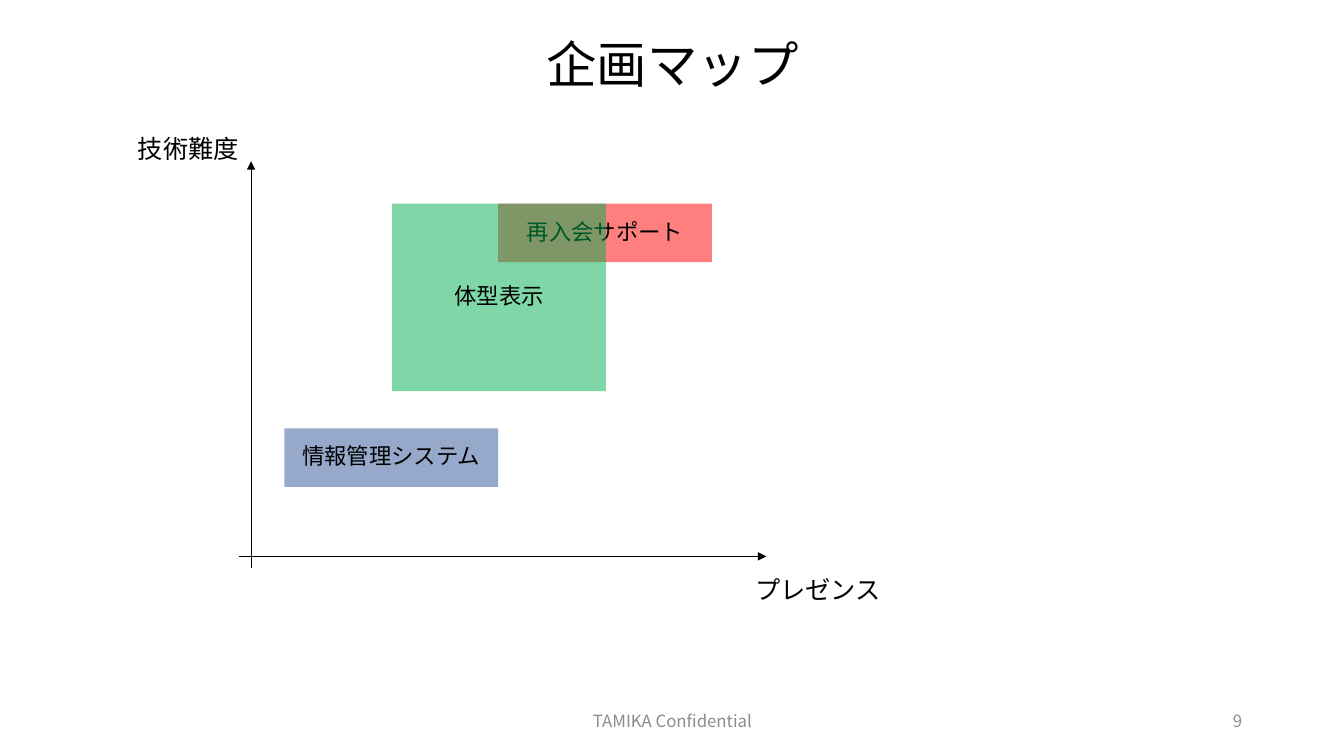
"""Builds the planning map slide: projects placed by presence and technical difficulty."""
from lxml.etree import SubElement
from pptx import Presentation
from pptx.dml.color import RGBColor
from pptx.enum.shapes import MSO_CONNECTOR, MSO_SHAPE
from pptx.enum.text import MSO_ANCHOR as Anchor, MSO_AUTO_SIZE, PP_ALIGN as Align
from pptx.oxml.ns import qn
from pptx.util import Inches, Pt

WIDTH, HEIGHT = 13.33, 7.5
FONT = "Noto Sans CJK JP"
BLACK, GREY = "000000", "8C8C8C"

TITLE = "企画マップ"
COLUMN, ROW = 2.12, 0.58
PROJECTS = [
    ("再入会サポート", "FF0000", (4.94, 2.02), (COLUMN, ROW)),
    ("情報管理システム", "2F5597", (2.82, 4.25), (COLUMN, ROW)),
    ("体型表示", "00B050", (3.89, 2.02), (COLUMN, 1.86)),
]
ORIGIN = (2.49, 5.52)
OVERHANG = 0.12
AXIS_TOP, AXIS_RIGHT = 1.6, 7.6
AXES = [
    ((ORIGIN[0], ORIGIN[1] + OVERHANG), (ORIGIN[0], AXIS_TOP)),
    ((ORIGIN[0] - OVERHANG, ORIGIN[1]), (AXIS_RIGHT, ORIGIN[1])),
]
AXIS_LABELS = [("技術難度", (1.27, 0.87)), ("プレゼンス", (7.39, 5.24))]
LABEL_SIZE = (1.67, 0.81)
FOOTER_TOP, FOOTER_HEIGHT = 6.95, 0.4
FOOTERS = [
    ("TAMIKA Confidential", 4.42, 4.5, Align.CENTER),
    ("9", 9.42, 3, Align.RIGHT),
]


def rgb(value):
    return RGBColor.from_string(value)


def inches(*lengths):
    return [Inches(length) for length in lengths]


def write(shape, wording, size, align, anchor, color=BLACK, spacing=0.9, before=0):
    frame = shape.text_frame
    frame.text = wording
    frame.word_wrap = True
    frame.auto_size = MSO_AUTO_SIZE.NONE
    frame.vertical_anchor = anchor
    line = frame.paragraphs[0]
    line.alignment, line.line_spacing, line.space_before = align, spacing, Pt(before)
    font = line.runs[0].font
    font.size, font.name = Pt(size), FONT
    font.color.rgb = rgb(color)
    SubElement(line.runs[0]._r.get_or_add_rPr(), qn("a:ea"), typeface=FONT)


def add_project(slide, wording, color, place, size):
    box = slide.shapes.add_shape(MSO_SHAPE.RECTANGLE, *inches(*place, *size))
    box.shadow.inherit = False
    box.fill.solid()
    box.fill.fore_color.rgb = rgb(color)
    tint = box._element.spPr.find(f"{qn('a:solidFill')}/{qn('a:srgbClr')}")
    SubElement(tint, qn("a:alpha"), val="50000")
    box.line.fill.background()
    write(box, wording, 16, Align.CENTER, Anchor.MIDDLE, before=10)


def add_axis(slide, start, end):
    axis = slide.shapes.add_connector(MSO_CONNECTOR.STRAIGHT, *inches(*start, *end))
    axis.line.color.rgb = rgb(BLACK)
    axis.line.width = Pt(0.5)
    SubElement(axis.line._get_or_add_ln(), qn("a:tailEnd"), type="triangle")
    SubElement(axis._element.spPr, qn("a:effectLst"))


def main():
    deck = Presentation()
    deck.slide_width, deck.slide_height = inches(WIDTH, HEIGHT)
    slide = deck.slides.add_slide(deck.slide_layouts[5])

    title = slide.shapes.title
    title.left, title.top, title.width, title.height = inches(1.67, 0.15, 10, 0.84)
    write(title, TITLE, 36, Align.CENTER, Anchor.BOTTOM)

    for wording, left, width, align in FOOTERS:
        footer = slide.shapes.add_textbox(*inches(left, FOOTER_TOP, width, FOOTER_HEIGHT))
        write(footer, wording, 12, align, Anchor.MIDDLE, GREY, spacing=1)
    for project in PROJECTS:
        add_project(slide, *project)
    for axis, (wording, place) in zip(AXES, AXIS_LABELS):
        add_axis(slide, *axis)
        label = slide.shapes.add_textbox(*inches(*place, *LABEL_SIZE))
        write(label, wording, 18, Align.LEFT, Anchor.BOTTOM)

    deck.save("out.pptx")


if __name__ == "__main__":
    main()
